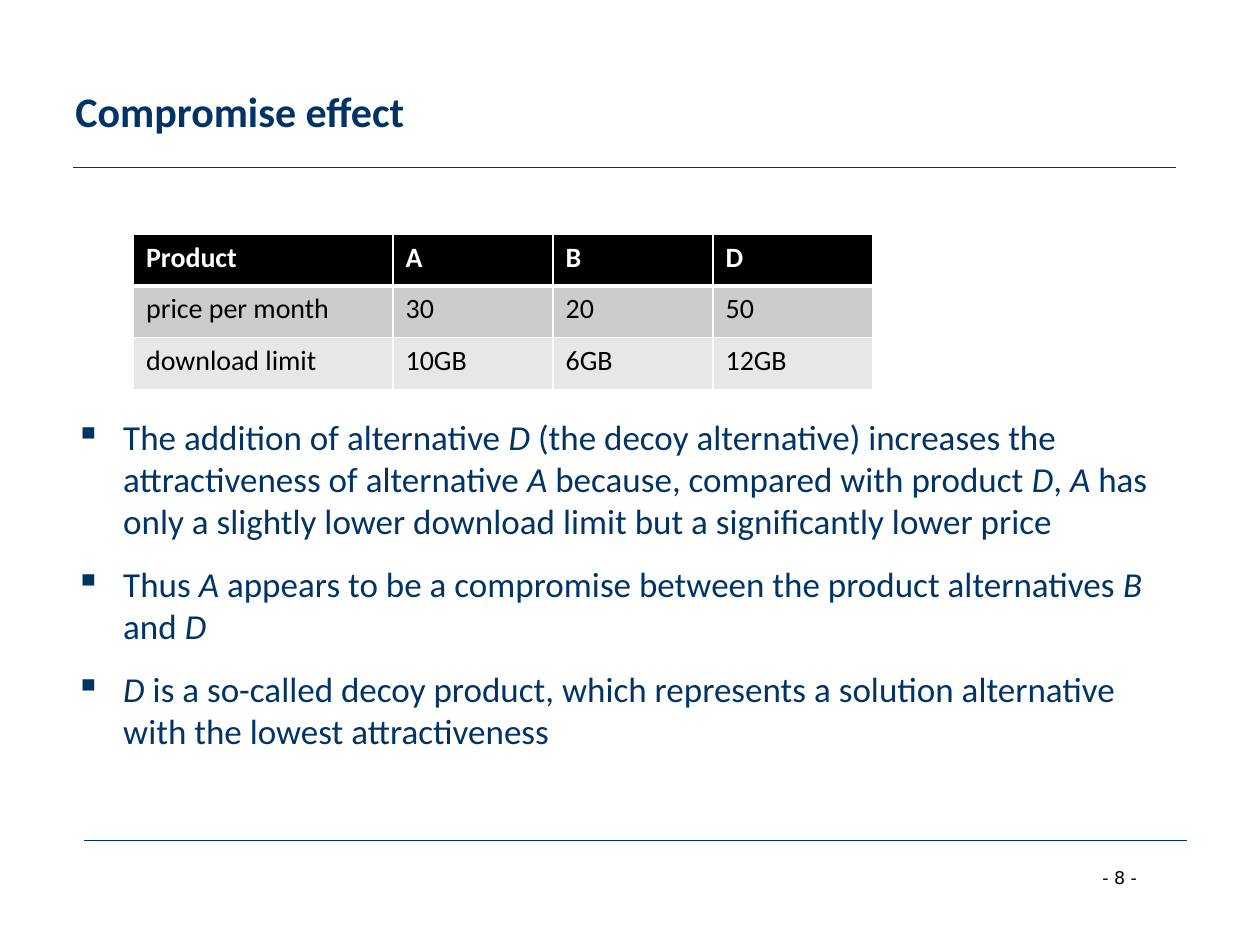
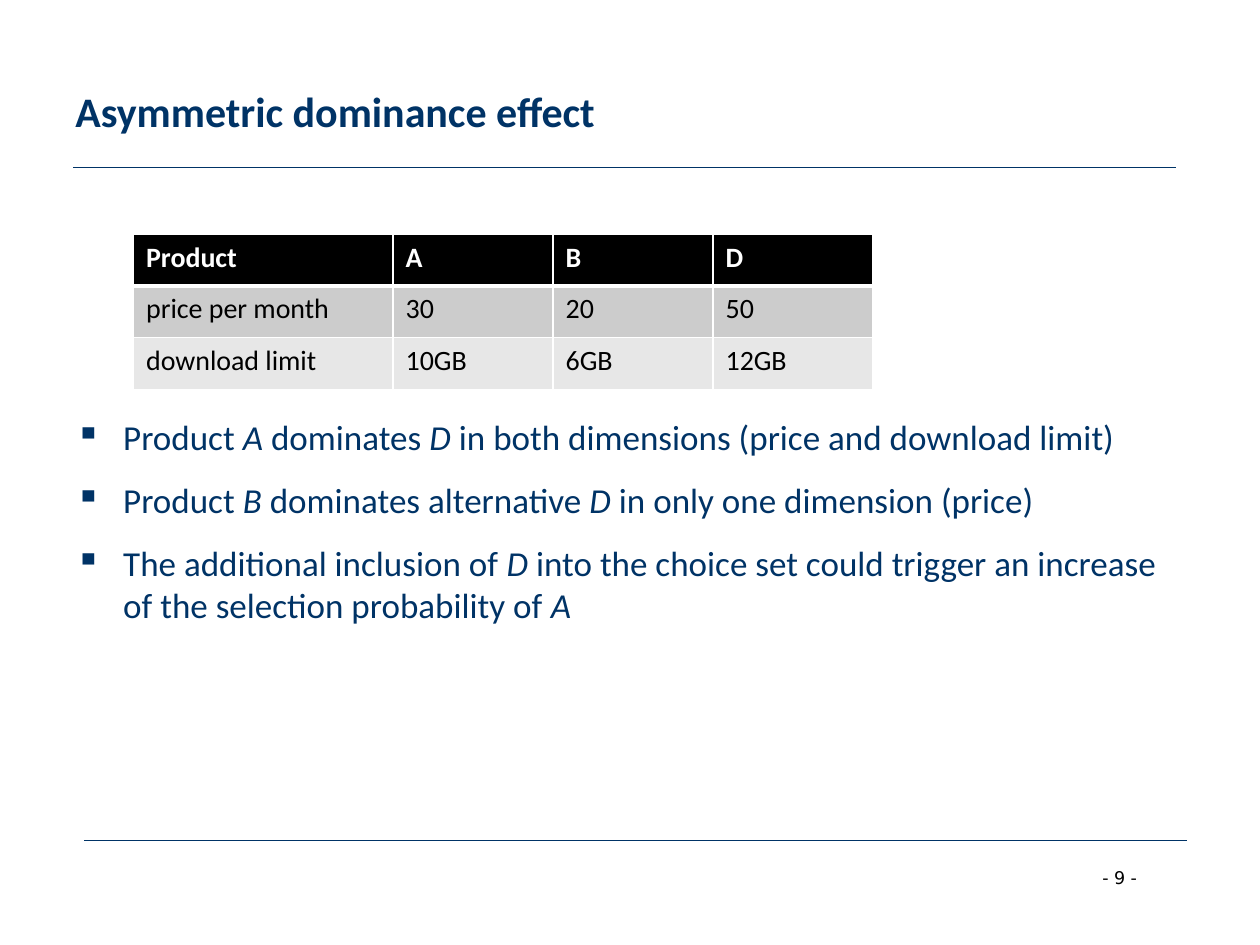
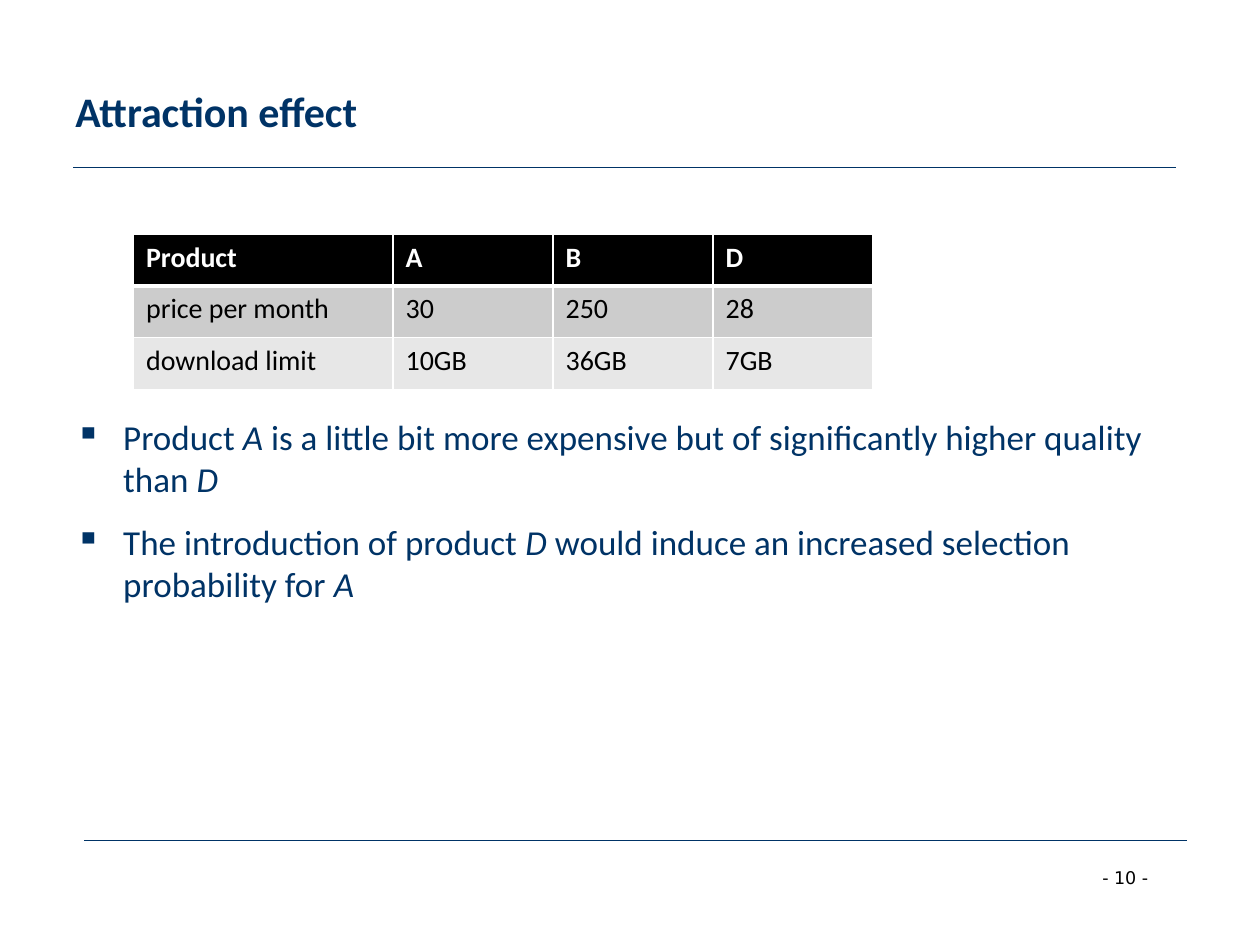
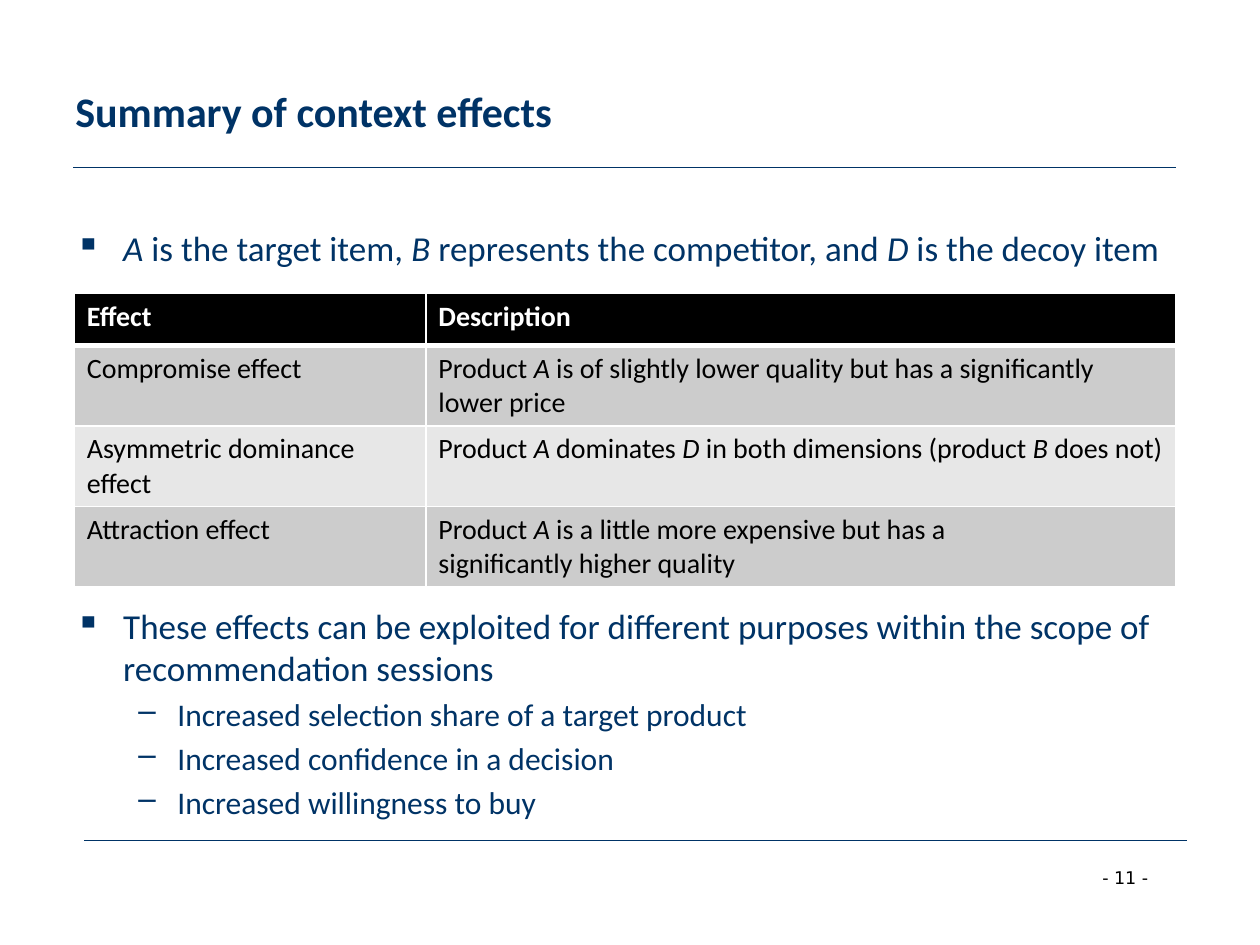
from lxml import etree
from pptx import Presentation
from pptx import util as u
from pptx.dml.color import RGBColor
from pptx.enum import shapes, text
from pptx.oxml import ns

NAVY = RGBColor(0x00, 0x33, 0x66)
BLACK = RGBColor(0x00, 0x00, 0x00)
WHITE = RGBColor(0xFF, 0xFF, 0xFF)
BANDS = [RGBColor(0xCC, 0xCC, 0xCC), RGBColor(0xE7, 0xE7, 0xE7)]
FONT = "Calibri"
NUMBER_FONT = "DejaVu Sans"

LEFT, WIDTH = 0.5, 9
BODY_BOTTOM = 6.7
ROW = 0.41
TALL_ROW = 0.64
PRODUCT_COLS = [2.06, 1.27, 1.27, 1.27]

# Bullet levels: mark, size, left margin, hanging indent, space before.
LEVELS = [("▪", 20, 0.38, 0.38, 12), ("–", 18, 0.81, 0.31, 3.6)]

PRODUCT_SLIDES = [
    ("Compromise effect", ["30", "20", "50"], ["10GB", "6GB", "12GB"], [
        "The addition of alternative *D *(the decoy alternative) increases the "
        "attractiveness of alternative *A *because, compared with product *D*, *A *has "
        "only a slightly lower download limit but a significantly lower price",
        "Thus *A *appears to be a compromise between the product alternatives *B *and *D*",
        "*D *is a so-called decoy product, which represents a solution alternative "
        "with the lowest attractiveness",
    ]),
    ("Asymmetric dominance effect", ["30", "20", "50"], ["10GB", "6GB", "12GB"], [
        "Product *A *dominates *D *in both dimensions (price and download limit)",
        "Product *B *dominates alternative *D *in only one dimension (price)",
        "The additional inclusion of *D *into the choice set could trigger an increase "
        "of the selection probability of *A*",
    ]),
    ("Attraction effect", ["30", "250", "28"], ["10GB", "36GB", "7GB"], [
        "Product *A *is a little bit more expensive but of significantly higher quality "
        "than *D*",
        "The introduction of product *D *would induce an increased selection "
        "probability for *A*",
    ]),
]

EFFECTS = [
    ["Effect", "Description"],
    ["Compromise effect",
     "Product *A *is of slightly lower quality but has a significantly lower price"],
    ["Asymmetric dominance effect",
     "Product *A *dominates *D *in both dimensions (product *B *does not)"],
    ["Attraction effect",
     "Product *A *is a little more expensive but has a\nsignificantly higher quality"],
]


def add_runs(p, marked, size, color, bold=False, font=FONT):
    """Add the runs of a line in which asterisks enclose italics."""
    for i, part in enumerate(marked.split("*")):
        if part:
            r = p.add_run()
            r.text = part
            r.font.name, r.font.size = font, u.Pt(size)
            r.font.color.rgb = color
            r.font.bold, r.font.italic = bold, i % 2 == 1


def add_box(s, left, top, width, height):
    """Add a wrapping text box and return its text frame."""
    tf = s.shapes.add_textbox(*map(u.Inches, (left, top, width, height))).text_frame
    tf.word_wrap = True
    return tf


def add_rule(s, left, y):
    """Draw a thin horizontal rule."""
    sp = s.shapes.add_connector(shapes.MSO_CONNECTOR.STRAIGHT, u.Inches(left), u.Inches(y),
                                u.Inches(left + 8.75), u.Inches(y))
    sp.line.color.rgb, sp.line.width = NAVY, u.Pt(0.75)
    etree.SubElement(sp._element.spPr, ns.qn("a:effectLst"))


def add_base(prs, title, number):
    """Add a slide with its title, rules and page number."""
    s = prs.slides.add_slide(prs.slide_layouts[6])
    add_rule(s, 0.58, 1.33)
    add_rule(s, 0.67, 6.67)
    tf = add_box(s, 8.65, 6.83, 0.76, 0.27)
    add_runs(tf.paragraphs[0], f"- {number} -", 10, BLACK, font=NUMBER_FONT)
    tf = add_box(s, LEFT, 0.25, WIDTH, 1.25)
    tf.vertical_anchor = text.MSO_ANCHOR.MIDDLE
    add_runs(tf.paragraphs[0], title, 24, NAVY, bold=True)
    return s


def add_bullets(s, top, items, bottom=BODY_BOTTOM):
    """Add a bulleted list of (level, line) pairs."""
    tf = add_box(s, LEFT, top, WIDTH, bottom - top)
    for i, (level, line) in enumerate(items):
        mark, size, margin, hang, space = LEVELS[level]
        p = tf.paragraphs[0] if i == 0 else tf.add_paragraph()
        p.level = level
        pPr = p._p.get_or_add_pPr()
        pPr.set("marL", str(u.Inches(margin)))
        pPr.set("indent", str(-u.Inches(hang)))
        etree.SubElement(pPr, ns.qn("a:buChar"), char=mark)
        p.space_before = u.Pt(space if i else 0)
        add_runs(p, line, size, NAVY)


def set_borders(cell, top, bottom):
    """Give a cell white borders of the given top and bottom widths."""
    sides = [("L", 1), ("R", 1), ("T", top), ("B", bottom)]
    for i, (side, width) in enumerate(sides):
        ln = etree.Element(ns.qn("a:ln" + side), w=str(u.Pt(width)))
        fill = etree.SubElement(ln, ns.qn("a:solidFill"))
        etree.SubElement(fill, ns.qn("a:srgbClr"), val=str(WHITE))
        cell._tc.get_or_add_tcPr().insert(i, ln)


def add_grid(s, left, top, cols, body_row, rows):
    """Add a table with a black header and grey bands."""
    heights = [ROW] + [body_row] * (len(rows) - 1)
    table = s.shapes.add_table(len(rows), len(cols), u.Inches(left), u.Inches(top),
                               u.Inches(sum(cols)), u.Inches(sum(heights))).table
    table.horz_banding = False
    for col, width in zip(table.columns, cols):
        col.width = u.Inches(width)
    for i, values in enumerate(rows):
        table.rows[i].height = u.Inches(heights[i])
        header = i == 0
        for j, value in enumerate(values):
            cell = table.cell(i, j)
            cell.fill.solid()
            cell.fill.fore_color.rgb = BLACK if header else BANDS[(i - 1) % 2]
            set_borders(cell, 3 if i == 1 else 1, 3 if header else 1)
            tf = cell.text_frame
            for k, line in enumerate(value.split("\n")):
                p = tf.add_paragraph() if k else tf.paragraphs[0]
                add_runs(p, line, 16, WHITE if header else BLACK, bold=header)


def add_product_slide(prs, number, title, prices, limits, points):
    """Add a slide that compares three products."""
    s = add_base(prs, title, number)
    add_bullets(s, 3.25, [(0, point) for point in points])
    add_grid(s, 1.06, 1.86, PRODUCT_COLS, ROW, [
        ["Product", "A", "B", "D"],
        ["price per month", *prices],
        ["download limit", *limits],
    ])


def add_summary_slide(prs, number):
    """Add the slide that sums up the effects."""
    s = add_base(prs, "Summary of context effects", number)
    add_bullets(s, 1.75, [
        (0, "*A* is the target item, *B* represents the competitor, and *D* is the decoy item"),
    ], bottom=2.25)
    add_bullets(s, 4.75, [
        (0, "These effects can be exploited for different purposes within the scope of "
            "recommendation sessions"),
        (1, "Increased selection share of a target product"),
        (1, "Increased confidence in a decision"),
        (1, "Increased willingness to buy"),
    ])
    add_grid(s, 0.59, 2.33, [2.79, 5.95], TALL_ROW, EFFECTS)


def main():
    """Build and save the presentation."""
    prs = Presentation()
    prs.slide_width, prs.slide_height = u.Inches(10), u.Inches(7.5)
    for number, content in enumerate(PRODUCT_SLIDES, 8):
        add_product_slide(prs, number, *content)
    add_summary_slide(prs, 11)
    prs.save("out.pptx")


if __name__ == "__main__":
    main()
